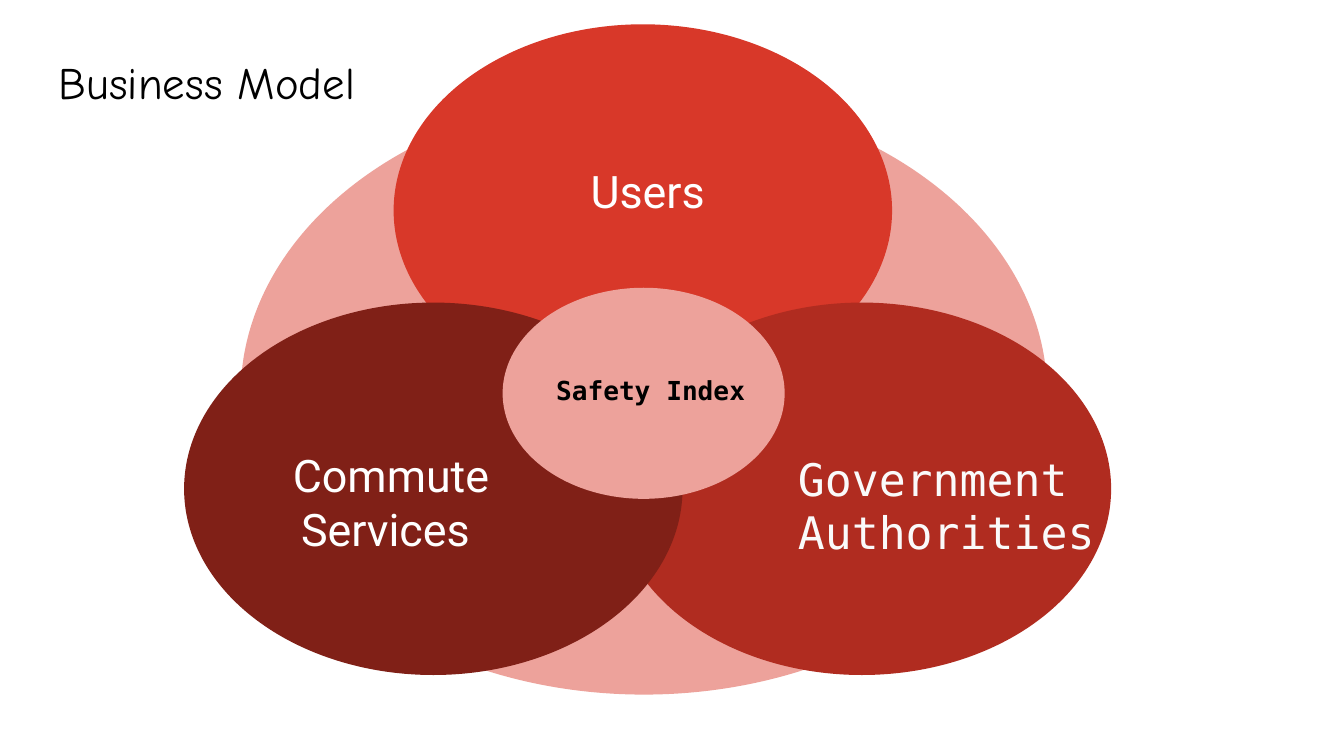
"""Draw the business model slide: three petals around a safety index."""
import dataclasses

import pptx
import pptx.dml.color
import pptx.enum.shapes
import pptx.enum.text
import pptx.util

Cm = pptx.util.Cm
RGB = pptx.dml.color.RGBColor.from_string
ALIGN = pptx.enum.text.PP_ALIGN
ANCHOR = pptx.enum.text.MSO_ANCHOR


@dataclasses.dataclass(frozen=True)
class Theme:
    """Hold the colours, fonts and type sizes."""
    pink: str = "EDA29B"
    red: str = "D83829"
    brick: str = "B02C20"
    maroon: str = "802017"
    white: str = "FFFFFF"
    pale: str = "FAFAFA"
    black: str = "000000"
    sans: str = "Roboto"
    mono: str = "DejaVu Sans Mono"
    comic: str = "Comic Neue"
    large: int = 24
    small: int = 14


THEME = Theme()
PETAL = (9.42, 7.04)
LABEL = (6.5, 2.29)


def add_oval(slide, left, top, size, fill):
    """Add a plain filled ellipse."""
    oval = slide.shapes.add_shape(
        pptx.enum.shapes.MSO_SHAPE.OVAL, Cm(left), Cm(top), *map(Cm, size))
    oval.shadow.inherit = False
    oval.fill.solid()
    oval.fill.fore_color.rgb = RGB(fill)
    oval.line.fill.background()


def add_text(slide, left, top, size, text, font, color,
             points=THEME.large, bold=False, centred=False):
    """Add a wrapped text box, centred both ways on request."""
    box = slide.shapes.add_textbox(Cm(left), Cm(top), *map(Cm, size))
    frame = box.text_frame
    frame.word_wrap = True
    frame.margin_left = frame.margin_right = Cm(0.25)
    frame.margin_top = frame.margin_bottom = Cm(0.25)
    frame.vertical_anchor = ANCHOR.MIDDLE if centred else ANCHOR.TOP
    frame.text = text
    line = frame.paragraphs[0]
    line.alignment = ALIGN.CENTER if centred else ALIGN.LEFT
    style = line.runs[0].font
    style.name = font
    style.size = pptx.util.Pt(points)
    style.bold = bold
    style.color.rgb = RGB(color)


def main():
    """Build and save the slide."""
    deck = pptx.Presentation()
    deck.slide_width, deck.slide_height = Cm(25.4), Cm(14.29)
    slide = deck.slides.add_slide(deck.slide_layouts[6])

    add_oval(slide, 4.55, 1.75, (15.24, 11.38), THEME.pink)
    add_oval(slide, 7.44, 0.46, PETAL, THEME.red)
    add_text(slide, 8.99, 2.46, LABEL, "Users",
             THEME.sans, THEME.white, centred=True)
    add_oval(slide, 11.58, 5.72, PETAL, THEME.brick)
    add_oval(slide, 3.48, 5.72, PETAL, THEME.maroon)
    add_text(slide, 4.14, 8.33, LABEL, "Commute Services ",
             THEME.sans, THEME.white, centred=True)
    add_oval(slide, 9.5, 5.44, (5.33, 3.99), THEME.pink)
    add_text(slide, 10.26, 6.83, (4.27, 1.09), "Safety Index",
             THEME.mono, THEME.black, THEME.small, bold=True)
    add_text(slide, 14.83, 8.28, (6.88, 1.93), "Government Authorities",
             THEME.mono, THEME.pale)
    add_text(slide, 0.86, 0.79, (7.77, 2.18), "Business Model",
             THEME.comic, THEME.black)

    deck.save("out.pptx")


if __name__ == "__main__":
    main()
